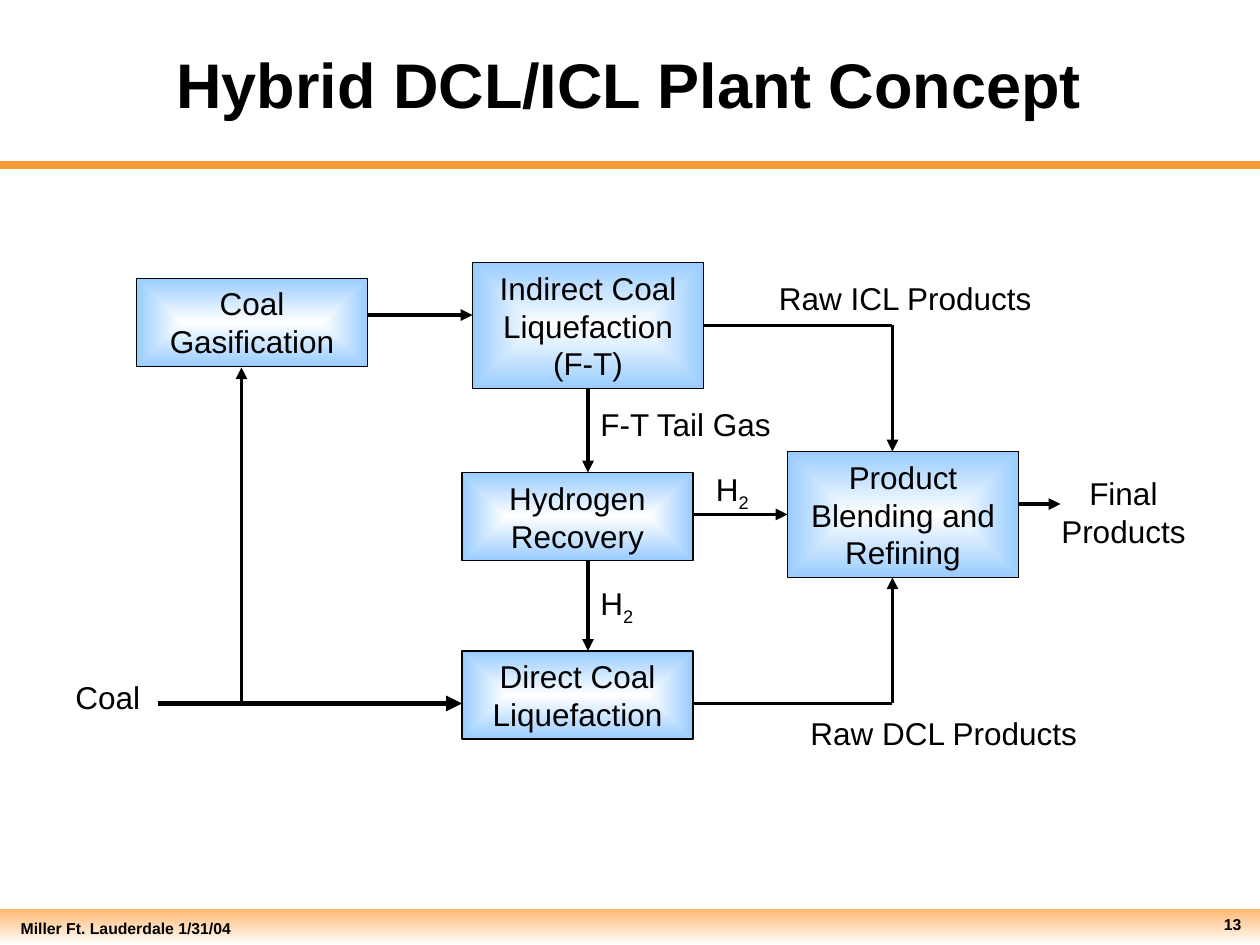
from lxml.etree import SubElement
from pptx import Presentation
from pptx.dml.color import RGBColor
from pptx.enum.shapes import MSO_CONNECTOR, MSO_SHAPE
from pptx.enum.text import MSO_ANCHOR, PP_ALIGN
from pptx.oxml import parse_xml
from pptx.oxml.ns import nsdecls, qn
from pptx.util import Inches, Pt

THEME = {
    "font": "Arial", "title": 36, "body": 18, "footer": 9,
    "black": RGBColor(0x00, 0x00, 0x00), "white": RGBColor(0xFF, 0xFF, 0xFF),
    "blue": RGBColor(0x99, 0xCC, 0xFF), "orange": RGBColor(0xFF, 0x99, 0x33),
    "peach": RGBColor(0xFF, 0xB9, 0x73),
}

deck = Presentation()
deck.slide_width, deck.slide_height = Inches(10), Inches(7.5)
page = deck.slides.add_slide(deck.slide_layouts[5])
COLUMN, ROW = deck.slide_width / 120, deck.slide_height / 90


def place(column, row, width, height):
    return (round(column * COLUMN), round(row * ROW),
            round(width * COLUMN), round(height * ROW))


def write(box, text, size, align, anchor=MSO_ANCHOR.TOP, bold=False, wrap=True):
    frame = box.text_frame
    frame.text = text
    frame.word_wrap = wrap
    frame.vertical_anchor = anchor
    for paragraph in frame.paragraphs:
        paragraph.alignment = align
        for span in paragraph.runs:
            span.font.name = THEME["font"]
            span.font.size = Pt(size)
            span.font.bold = bold
            span.font.color.rgb = THEME["black"]


title = page.shapes.title
title.left, title.top, title.width, title.height = place(3.4, 0.4, 113, 15)
write(title, "Hybrid DCL/ICL Plant Concept", THEME["title"], PP_ALIGN.CENTER,
      MSO_ANCHOR.MIDDLE, bold=True)

bands = [("footer", (0, 86.6, 120, 3.4), "peach", "white")]
steps = [
    ("gasification", (13, 26.5, 22, 8.4), "Coal\nGasification"),
    ("indirect", (45, 25, 22, 12), "Indirect Coal\nLiquefaction (F-T)"),
    ("blending", (75, 43, 22, 12), "Product Blending and Refining"),
    ("hydrogen", (44, 45, 22, 8.4), "Hydrogen\nRecovery"),
    ("direct", (44, 62, 22, 8.4), "Direct Coal Liquefaction"),
]
bands += [(name, area, "white", "blue") for name, area, text in steps]
boxes = {}
for name, area, first, last in bands:
    box = page.shapes.add_shape(MSO_SHAPE.RECTANGLE, *place(*area))
    box.shadow.inherit = False
    box.fill.gradient()
    box.fill.gradient_angle = 270
    for stop, position, color in zip(box.fill.gradient_stops, (0, 1), (first, last)):
        stop.position = position
        stop.color.rgb = THEME[color]
    box.line.fill.background()
    boxes[name] = box

for name, area, text in steps:
    box = boxes[name]
    box.line.color.rgb = THEME["black"]
    box.line.width = Pt(0.75)
    linear = box.element.spPr.find(qn("a:gradFill")).find(qn("a:lin"))
    linear.getparent().replace(linear, parse_xml(
        f'<a:path {nsdecls("a")} path="rect">'
        '<a:fillToRect l="50000" t="50000" r="50000" b="50000"/></a:path>'))
    write(box, text, THEME["body"], PP_ALIGN.CENTER, MSO_ANCHOR.MIDDLE)

flows = [
    ("title rule", (0, 15.7), (120, 15.7), 4.5, "orange", False),
    ("coal feed", (15, 67), (44, 67), 3, "black", True),
    ("coal to gasification", (23, 67), (23, 35), 2.25, "black", True),
    ("synthesis gas", (35, 30), (45, 30), 2.25, "black", True),
    ("tail gas", (56, 37), (56, 45), 2.25, "black", True),
    ("hydrogen to direct", (56, 53.4), (56, 62), 2.25, "black", True),
    ("hydrogen to blending", (66, 49), (75, 49), 2.25, "black", True),
    ("raw ICL down", (85, 31), (85, 43), 2.25, "black", True),
    ("raw ICL across", (85, 31), (67, 31), 2.25, "black", False),
    ("raw DCL up", (85, 67), (85, 55), 2.25, "black", True),
    ("raw DCL across", (85, 67), (66, 67), 2.25, "black", False),
    ("final products", (97, 48), (101, 48), 2.25, "black", True),
]
lines = {}
for name, start, end, width, color, arrow in flows:
    line = page.shapes.add_connector(
        MSO_CONNECTOR.STRAIGHT, *place(*start, *end))
    line.line.color.rgb = THEME[color]
    line.line.width = Pt(width)
    if arrow:
        SubElement(line.line._get_or_add_ln(), qn("a:tailEnd"), type="triangle")
    SubElement(line.element.spPr, qn("a:effectLst"))
    lines[name] = line
lines["tail gas"].begin_connect(boxes["indirect"], 2)
lines["hydrogen to blending"].end_connect(boxes["blending"], 1)

labels = [
    ("Coal", (6, 64, 9, 4.8), PP_ALIGN.LEFT, True),
    ("Raw ICL Products", (73, 26, 31, 4.8), PP_ALIGN.LEFT, True),
    ("Raw DCL Products", (76, 67.4, 28, 4.8), PP_ALIGN.LEFT, False),
    ("H2", (56, 55, 9, 5.2), PP_ALIGN.LEFT, True),
    ("H2", (67, 44.2, 5.6, 5.2), PP_ALIGN.LEFT, False),
    ("F-T Tail Gas", (56, 38, 21, 4.8), PP_ALIGN.LEFT, True),
    ("Final Products", (98, 44.6, 18, 8.4), PP_ALIGN.CENTER, True),
]
for text, area, align, wrap in labels:
    label = page.shapes.add_textbox(*place(*area))
    write(label, text, THEME["body"], align, wrap=wrap)
    if text == "H2":
        paragraph = label.text_frame.paragraphs[0]
        paragraph.runs[0].text = "H"
        subscript = paragraph.add_run()
        subscript.text = "2"
        subscript.font.name = THEME["font"]
        subscript.font.size = Pt(THEME["body"])
        subscript.font.color.rgb = THEME["black"]
        subscript.font._element.set("baseline", "-25000")

for text, area, align in [
    ("Miller Ft. Lauderdale 1/31/04", (0.8, 86.9, 95.8, 6.2), PP_ALIGN.LEFT),
    ("13", (91.4, 86.5, 28, 6.2), PP_ALIGN.RIGHT),
]:
    footer = page.shapes.add_textbox(*place(*area))
    write(footer, text, THEME["footer"], align, bold=True)

deck.save("out.pptx")
